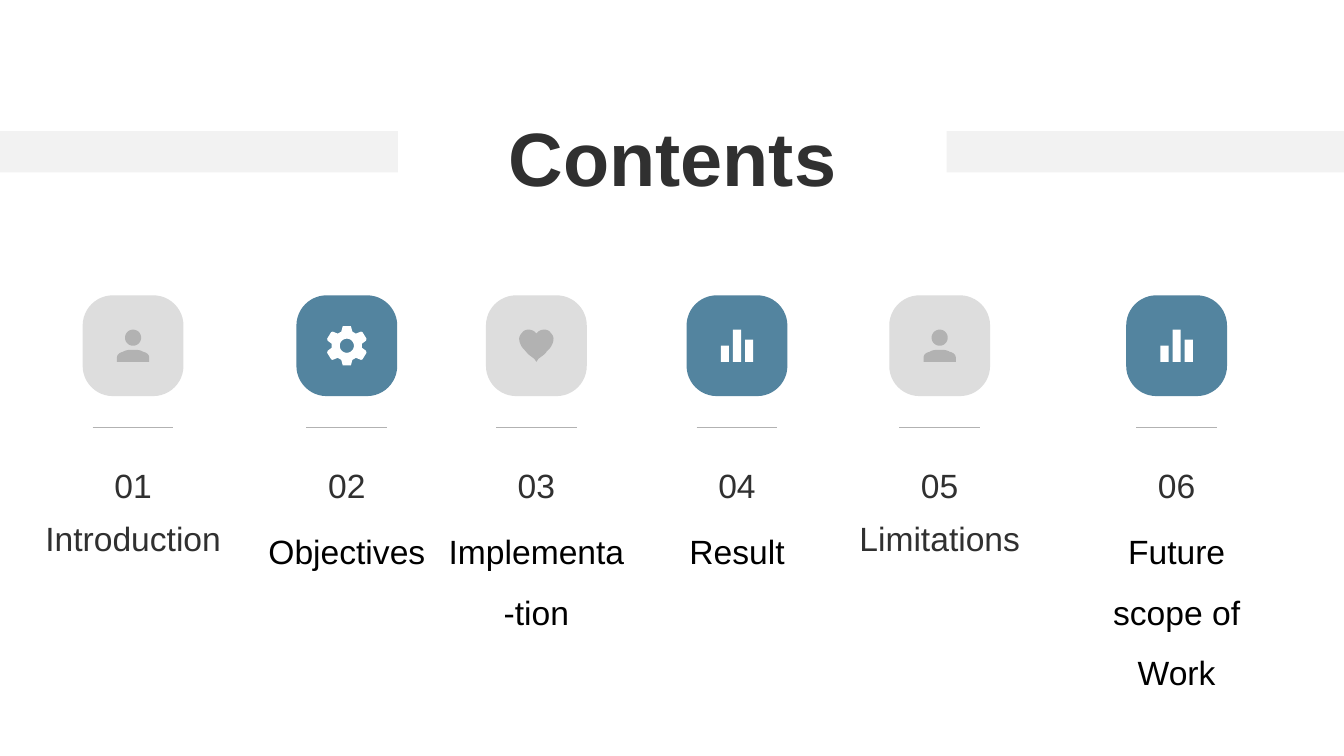
from math import cos, radians, sin

from lxml import etree
from pptx import Presentation
from pptx.dml.color import RGBColor
from pptx.enum.shapes import MSO_CONNECTOR, MSO_SHAPE
from pptx.enum.text import MSO_ANCHOR, MSO_AUTO_SIZE, PP_ALIGN
from pptx.oxml.ns import qn
from pptx.util import Emu, Inches, Pt

RECTANGLE, ROUNDED = MSO_SHAPE.RECTANGLE, MSO_SHAPE.ROUNDED_RECTANGLE
STRAIGHT = MSO_CONNECTOR.STRAIGHT
CENTER, MIDDLE = PP_ALIGN.CENTER, MSO_ANCHOR.MIDDLE
FIT_SHAPE = MSO_AUTO_SIZE.SHAPE_TO_FIT_TEXT

# Content
TITLE = "Contents"
FONT = "Arial"
DARK, BLACK, WHITE = "303030", "000000", "FFFFFF"
BAND, RULE = "F2F2F2", "B2B2B2"
GREY_TILE, BLUE_TILE = ("DDDDDD", "B2B2B2"), ("53849F", "FFFFFF")
WIDE_LABEL = (4.89, 2.59, 0.71, DARK)  # top, width, height, colour
LABEL = (5.02, 2, 1.31, BLACK)
TALL_LABEL = (5.02, 2, 1.92, BLACK)
SECTIONS = [  # centre, label, icon, tile colours, label style
    (1.32, "Introduction", "person", GREY_TILE, WIDE_LABEL),
    (3.44, "Objectives", "gear", BLUE_TILE, LABEL),
    (5.32, "Implementa-tion", "heart", GREY_TILE, LABEL),
    (7.31, "Result", "bars", BLUE_TILE, LABEL),
    (9.32, "Limitations", "person", GREY_TILE, WIDE_LABEL),
    (11.67, "Future scope of Work", "bars", BLUE_TILE, TALL_LABEL),
]
SLIDE_WIDTH, SLIDE_HEIGHT = 13.33, 7.5
TILE_TOP, TILE_SIZE = 2.93, 1
RULE_TOP, RULE_WIDTH = 4.24, 0.8
NUMBER_TOP, NUMBER_WIDTH, NUMBER_HEIGHT = 4.56, 1.94, 0.5


# Icon outlines, in hundredths of an inch around the tile centre
def curve(start, *segments, steps=8):
    points = [start]
    for first, second, end in segments:
        origin = points[-1]
        for step in range(1, steps + 1):
            t = step / steps
            weights = ((1 - t) ** 3, 3 * t * (1 - t) ** 2, 3 * t * t * (1 - t), t ** 3)
            corners = (origin, first, second, end)
            points.append(tuple(sum(w * corner[axis] for w, corner in zip(weights, corners))
                                for axis in (0, 1)))
    return points


def mirrored(right_half):
    return right_half + [(-x, y) for x, y in reversed(right_half)]


def circle(center_y, radius):
    return [(radius * cos(radians(a)), center_y + radius * sin(radians(a)))
            for a in range(0, 360, 10)]


def bar(left, top):
    return [(left, top), (left + 8, top), (left + 8, 16), (left, 16)]


SHOULDER = curve((0, 4), ((3, 4), (7, 4), (10, 6)), ((14, 7), (16, 9), (16, 12)))
GEAR_HALF = [(4, -19.5), (5.5, -14), (9, -12), (14, -14), (15.5, -13.5), (19.5, -7),
             (19, -5), (15, -2), (15, 2), (19, 5), (19.5, 7), (15.5, 13.5), (14, 14),
             (9, 12), (5.5, 14), (4, 19.5)]
HEART_HALF = curve((0, -12), ((2, -15), (5, -16), (8, -16)),
                   ((10, -16), (13, -15), (14, -13)), ((16, -11), (17, -9), (17, -7)),
                   ((17, -4), (16, -2), (15, 0)), ((14, 2), (12, 4), (10, 6)),
                   ((9, 8), (6, 10), (2, 13))) + [(0, 16)]
ICONS = {
    "person": [mirrored(SHOULDER + [(16, 16)]), circle(-8, 8)],
    "gear": [mirrored(GEAR_HALF), circle(0, 7)[::-1]],
    "heart": [mirrored(HEART_HALF)],
    "bars": [bar(-16, 0), bar(-4, -16), bar(8, -6)],
}

presentation = Presentation()
presentation.slide_width = Inches(SLIDE_WIDTH)
presentation.slide_height = Inches(SLIDE_HEIGHT)
slide = presentation.slides.add_slide(presentation.slide_layouts[6])


def color(value):
    return RGBColor.from_string(value)


def paint(shape, fill):
    shape.shadow.inherit = False
    shape.fill.solid()
    shape.fill.fore_color.rgb = color(fill)
    shape.line.fill.background()


def add_block(kind, left, top, width, height, fill):
    shape = slide.shapes.add_shape(kind, Inches(left), Inches(top), Inches(width), Inches(height))
    paint(shape, fill)
    return shape


def write(shape, text, size, ink, bold=False, spacing=None):
    frame = shape.text_frame
    frame.word_wrap = True
    frame.auto_size = FIT_SHAPE
    frame.text = text
    paragraph = frame.paragraphs[0]
    paragraph.alignment = CENTER
    paragraph.line_spacing = spacing
    font = paragraph.runs[0].font
    font.name, font.size, font.bold = FONT, Pt(size), bold
    font.color.rgb = color(ink)


def add_caption(text, center, top, width, height, ink, spacing=None):
    box = slide.shapes.add_textbox(Inches(center - width / 2), Inches(top),
                                   Inches(width), Inches(height))
    write(box, text, 24, ink, spacing=spacing)


def add_rule(center):
    rule = slide.shapes.add_connector(STRAIGHT, Inches(center - RULE_WIDTH / 2), Inches(RULE_TOP),
                                      Inches(center + RULE_WIDTH / 2), Inches(RULE_TOP))
    rule.line.color.rgb = color(RULE)
    rule.line.width = Pt(0.5)
    etree.SubElement(rule._element.spPr, qn("a:effectLst"))


def add_icon(outlines, center_x, center_y, fill):
    placed = [[(Inches(center_x + x / 100), Inches(center_y + y / 100)) for x, y in outline]
              for outline in outlines]
    builder = slide.shapes.build_freeform(*placed[0][0])
    builder.add_line_segments(placed[0][1:], close=True)
    for outline in placed[1:]:
        builder.move_to(*outline[0])
        builder.add_line_segments(outline[1:], close=True)
    paint(builder.convert_to_shape(Emu(0), Emu(0)), fill)


# Title over the band
add_block(RECTANGLE, 0, 1.3, SLIDE_WIDTH, 0.41, BAND)
title = add_block(RECTANGLE, 3.95, 1.04, 5.44, 1.01, WHITE)
title.text_frame.vertical_anchor = MIDDLE
write(title, TITLE, 54, DARK, bold=True)

# Section columns
for number, (center, label, icon, (tile_fill, icon_fill), style) in enumerate(SECTIONS, 1):
    tile = add_block(ROUNDED, center - TILE_SIZE / 2, TILE_TOP, TILE_SIZE, TILE_SIZE, tile_fill)
    tile.adjustments[0] = 0.3
    add_icon(ICONS[icon], center, TILE_TOP + TILE_SIZE / 2, icon_fill)
    add_rule(center)
    add_caption(f"{number:02}", center, NUMBER_TOP, NUMBER_WIDTH, NUMBER_HEIGHT, DARK)
    add_caption(label, center, *style, spacing=1.5)

presentation.save("out.pptx")
